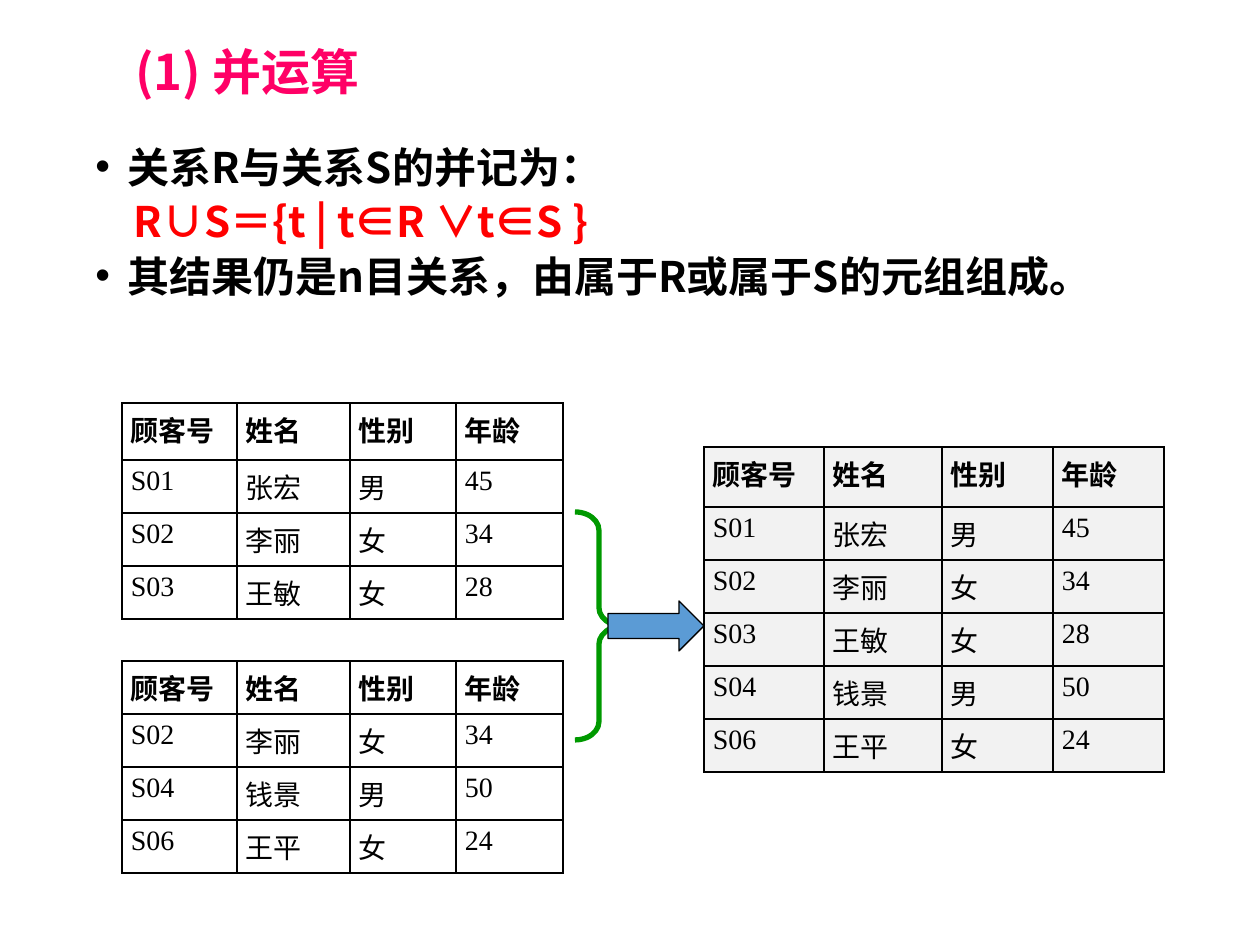
from lxml.etree import SubElement
from pptx import Presentation
from pptx.dml.color import RGBColor
from pptx.enum.shapes import MSO_SHAPE
from pptx.enum.text import MSO_ANCHOR
from pptx.oxml.ns import qn
from pptx.util import Pt

PX = 914400 // 126
SANS = "Noto Sans CJK SC"
SERIF = "Times New Roman"
BLACK = RGBColor(0x00, 0x00, 0x00)
PINK = RGBColor(0xFF, 0x00, 0x66)
RED = RGBColor(0xFF, 0x00, 0x00)
GREEN = RGBColor(0x00, 0x99, 0x00)
BLUE = RGBColor(0x5B, 0x9B, 0xD5)
GREY = RGBColor(0xF2, 0xF2, 0xF2)

HEAD = ("顾客号", "姓名", "性别", "年龄")
ZHANG = ("S01", "张宏", "男", "45")
LI = ("S02", "李丽", "女", "34")
WANG = ("S03", "王敏", "女", "28")
QIAN = ("S04", "钱景", "男", "50")
PING = ("S06", "王平", "女", "24")
ROW = 53


def px(*nums):
    return [n * PX for n in nums]


def write(para, text, font=SANS, size=24, color=BLACK, bold=True,
          left=0, hang=0, bullet=False, line=None, before=0):
    """Fill one paragraph with one formatted run."""
    run = para.add_run()
    run.text = text
    run.font.name = font
    run.font.size = Pt(size)
    run.font.bold = bold
    run.font.color.rgb = color
    east = SubElement(run.font._element, qn("a:ea"))
    east.set("typeface", SANS)
    para.space_before = Pt(before)
    if line:
        para.line_spacing = line
    props = para._p.get_or_add_pPr()
    props.set("marL", str(left * PX))
    props.set("indent", str(-hang * PX))
    if bullet:
        SubElement(props, qn("a:buFont")).set("typeface", "Arial")
        SubElement(props, qn("a:buChar")).set("char", "•")


def add_box(slide, box, anchor=MSO_ANCHOR.TOP):
    frame = slide.shapes.add_textbox(*px(*box)).text_frame
    frame.word_wrap = True
    frame.vertical_anchor = anchor
    return frame


def set_edges(cell):
    props = cell._tc.get_or_add_tcPr()
    for side in ("lnL", "lnR", "lnT", "lnB"):
        edge = SubElement(props, qn(f"a:{side}"), w=str(Pt(1)))
        fill = SubElement(edge, qn("a:solidFill"))
        SubElement(fill, qn("a:srgbClr"), val=str(BLACK))


def add_grid(slide, left, top, cols, first, people, color=None):
    """Draw a relation: a header row, then one row per person."""
    rows = [HEAD, *people]
    size = sum(cols), first + ROW * len(people)
    table = slide.shapes.add_table(
        len(rows), len(cols), *px(left, top, *size)).table
    table.first_row = table.horz_banding = False
    for col, width in zip(table.columns, cols):
        col.width = width * PX
    for r, row in enumerate(rows):
        table.rows[r].height = (ROW if r else first) * PX
        for c, text in enumerate(row):
            cell = table.cell(r, c)
            cell.margin_left = cell.margin_right = 9 * PX
            cell.margin_top = cell.margin_bottom = 6 * PX
            write(cell.text_frame.paragraphs[0], text, font=SERIF,
                  size=16, bold=r == 0)
            set_edges(cell)
            if color:
                cell.fill.solid()
                cell.fill.fore_color.rgb = color
            else:
                cell.fill.background()


def add_shape(slide, kind, box, line, width, fill=None):
    shape = slide.shapes.add_shape(kind, *px(*box))
    shape.shadow.inherit = False
    shape.line.color.rgb = line
    shape.line.width = Pt(width)
    if fill:
        shape.fill.solid()
        shape.fill.fore_color.rgb = fill
    else:
        shape.fill.background()
    return shape


def main():
    deck = Presentation()
    deck.slide_width, deck.slide_height = px(1260, 945)
    slide = deck.slides.add_slide(deck.slide_layouts[6])

    # Title
    title = add_box(slide, (123, 26, 1074, 97), MSO_ANCHOR.MIDDLE)
    write(title.paragraphs[0], "(1) 并运算", size=28, color=PINK, line=0.9)

    # Definition of the union
    body = add_box(slide, (83, 145, 1121, 218))
    point = dict(left=32, hang=32, bullet=True)
    lines = [
        ("关系R与关系S的并记为：", point),
        ("R∪S＝{t | t∈R ∨t∈S }", dict(left=38, color=RED)),
        ("其结果仍是n目关系，由属于R或属于S的元组组成。", point),
    ]
    for i, (text, style) in enumerate(lines):
        para = body.add_paragraph() if i else body.paragraphs[0]
        write(para, text, line=0.8, before=8, **style)

    # Relations R and S, and their union
    narrow = (115, 113, 106, 107)
    wide = (120, 118, 111, 111)
    add_grid(slide, 122, 403, narrow, 57, [ZHANG, LI, WANG])
    add_grid(slide, 122, 661, narrow, ROW, [LI, QIAN, PING])
    add_grid(slide, 704, 447, wide, 60, [ZHANG, LI, WANG, QIAN, PING], GREY)

    # Brace and arrow from the inputs to the result
    brace = add_shape(slide, MSO_SHAPE.RIGHT_BRACE, (575, 512, 48, 228),
                      GREEN, 3)
    brace.adjustments[0] = 0.38
    add_shape(slide, MSO_SHAPE.RIGHT_ARROW, (608, 601, 96, 50),
              BLACK, 0.75, BLUE)

    deck.save("out.pptx")


if __name__ == "__main__":
    main()
